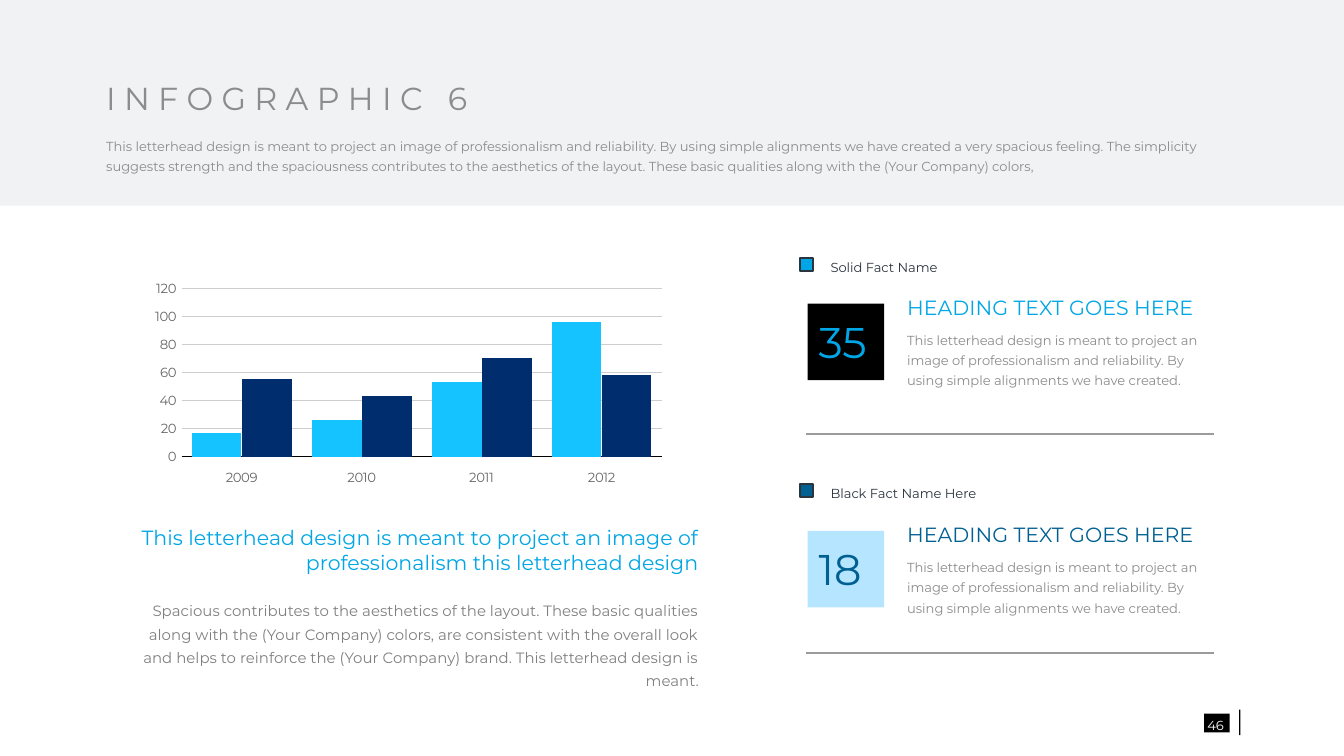
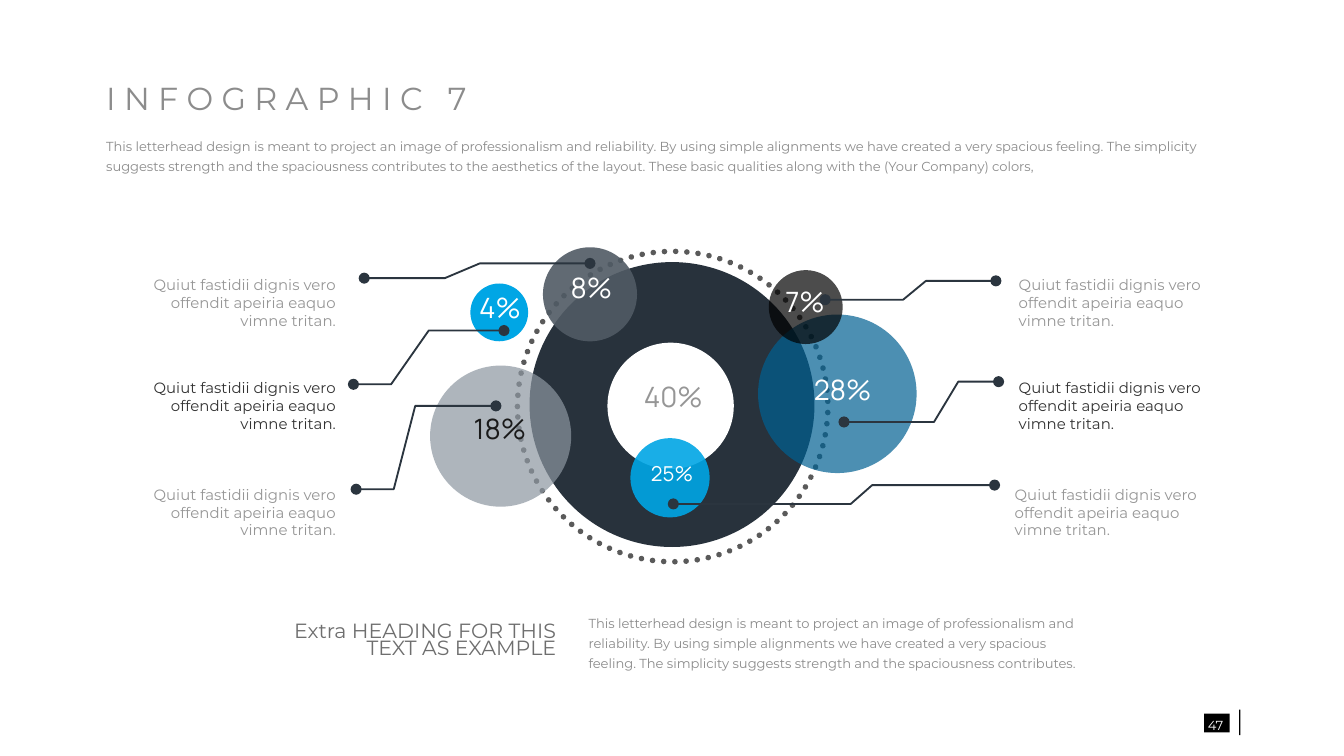
import pptx
import pptx.chart.data
import pptx.dml.color
import pptx.enum.chart
import pptx.enum.dml
import pptx.enum.shapes
import pptx.enum.text
import pptx.oxml
import pptx.oxml.ns
import pptx.util
from lxml import etree

RGB = pptx.dml.color.RGBColor
ALIGN = pptx.enum.text.PP_ALIGN
ANCHOR = pptx.enum.text.MSO_ANCHOR
SHAPE = pptx.enum.shapes.MSO_SHAPE
qn = pptx.oxml.ns.qn

PX = 9144  # 100 px to the inch
SLIDE_W = 1000

# Colours and fonts
BLACK = RGB(0x00, 0x00, 0x00)
WHITE = RGB(0xFF, 0xFF, 0xFF)
BAND = RGB(0xDA, 0xDF, 0xE3)
CYAN = RGB(0x00, 0xA6, 0xE5)
BLUE = RGB(0x00, 0x60, 0x92)
PALE_BLUE = RGB(0xB6, 0xE6, 0xFF)
BAR_CYAN = RGB(0x14, 0xC3, 0xFF)
BAR_NAVY = RGB(0x00, 0x2D, 0x6E)
INK = RGB(0x2B, 0x35, 0x3F)
DISC = RGB(0x28, 0x32, 0x3C)
SLATE = RGB(0x50, 0x5A, 0x64)
STEEL = RGB(0x8C, 0x96, 0xA0)
NEAR_BLACK = RGB(0x1A, 0x1A, 0x1A)
CHARCOAL = RGB(0x32, 0x32, 0x32)
DOT_GREY = RGB(0x5A, 0x5A, 0x5A)
AXIS_GREY = RGB(0x67, 0x67, 0x67)
HEADING_GREY = RGB(0x6E, 0x6E, 0x6E)
SUMMARY_GREY = RGB(0x80, 0x80, 0x80)
GREY = RGB(0x8C, 0x8C, 0x8C)
LIGHT_GREY = RGB(0x96, 0x96, 0x96)
RULE_GREY = RGB(0x9B, 0x9B, 0x9B)
GRID_GREY = RGB(0xCD, 0xCD, 0xCD)
MAIN_FONT, FIGURE_FONT, CHART_FONT = "Montserrat", "Manrope", "Cabin"

# Shared content
MEANT = "This letterhead design is meant to project an image of professionalism"
OPENING = MEANT + " and reliability. By using simple alignments we have created"
INTRO = (OPENING + " a very spacious feeling. The simplicity suggests strength and the "
         "spaciousness contributes to the aesthetics of the layout. These basic "
         "qualities along with the (Your Company) colors,")

# Bar chart slide
YEARS = ["2009", "2010", "2011", "2012"]
SERIES = [("Series 1", (17, 26, 53, 96), BAR_CYAN),
          ("Series 2", (55, 43, 70, 58), BAR_NAVY)]
PLOT_AREA = {"x": 0.107, "y": 0.2, "w": 0.867, "h": 0.671}
CHART_HEADING = MEANT + " this letterhead design"
CHART_SUMMARY = ("Spacious contributes to the aesthetics of the layout. These basic "
                 "qualities along with the (Your Company) colors, are consistent with "
                 "the overall look and helps to reinforce the (Your Company) brand. "
                 "This letterhead design is meant.")
FACT_HEADING = "HEADING TEXT GOES HERE"
FACT_BODY = OPENING + "."
# name, number, accent, badge colour, then tops of marker, badge and rule
FACTS = [("Solid Fact Name", "35", CYAN, BLACK, 192, 226, 323),
         ("Black Fact Name Here", "18", BLUE, PALE_BLUE, 360, 395, 486)]

# Bubble slide
RING = (385, 187, 231)
# left, top, diameter, colour, opacity, label, label box, label colour, label size
BUBBLES = [
    (394, 195, 212, DISC, 100, None, None, None, None),
    (404, 184, 70, SLATE, 90, "8%", (415, 202, 50, 27), WHITE, 15),
    (350, 211, 43, CYAN, 100, "4%", (347, 217, 50, 27), WHITE, 15),
    (320, 272, 105, STEEL, 70, "18%", (347, 307, 50, 27), NEAR_BLACK, 15),
    (452, 255, 94, WHITE, 100, "40%", (476, 283, 50, 27), LIGHT_GREY, 15),
    (564, 234, 118, BLUE, 70, "28%", (602, 278, 50, 27), WHITE, 15),
    (572, 201, 55, BLACK, 70, "7%", (574, 212, 50, 27), WHITE, 15),
    (469, 326, 59, CYAN, 90, "25%", (469, 328, 62, 51), WHITE, 11),
]
CALLOUT = "Quiut fastidii dignis vero offendit apeiria eaquo vimne tritan."
CALLOUT_ROWS = [(204, LIGHT_GREY), (281, CHARCOAL), (360, LIGHT_GREY)]
# alignment, then for each row: left, width, leader points
CALLOUT_COLUMNS = [
    (ALIGN.RIGHT, [
        (102, 148, [(271, 207), (331, 207), (357, 196), (439, 196)]),
        (102, 148, [(263, 286), (291, 286), (319, 246), (375, 246)]),
        (98, 152, [(265, 364), (293, 364), (309, 302), (369, 302)])]),
    (ALIGN.LEFT, [
        (758, 148, [(741, 209), (689, 209), (672, 223), (614, 223)]),
        (758, 148, [(743, 284), (713, 284), (695, 314), (628, 314)]),
        (755, 152, [(740, 361), (649, 361), (633, 375), (501, 375)])]),
]
EXTRA_HEADING = "Extra HEADING FOR THIS TEXT AS EXAMPLE"
EXTRA_BODY = (OPENING + " a very spacious feeling. The simplicity suggests strength "
              "and the spaciousness contributes.")


def emu(*lengths):
    return [length * PX for length in lengths]


def set_font(font, size, colour, name=MAIN_FONT):
    font.size, font.name = pptx.util.Pt(size), name
    font.color.rgb = colour


def add_text(slide, box, text, size, colour, spacing=1.0, align=ALIGN.LEFT,
             anchor=ANCHOR.MIDDLE, font=MAIN_FONT):
    frame = slide.shapes.add_textbox(*emu(*box)).text_frame
    frame.word_wrap = True
    frame.vertical_anchor = anchor
    frame.margin_left = frame.margin_right = frame.margin_top = frame.margin_bottom = 0
    paragraph = frame.paragraphs[0]
    paragraph.text = text
    paragraph.alignment = align
    paragraph.line_spacing = spacing
    set_font(paragraph.font, size, colour, font)


def add_filled(slide, kind, box, colour, opacity=100, outline=None):
    shape = slide.shapes.add_shape(kind, *emu(*box))
    shape.shadow.inherit = False
    shape.fill.solid()
    shape.fill.fore_color.rgb = colour
    if opacity < 100:
        tint = shape._element.spPr.find(qn("a:solidFill"))[0]
        etree.SubElement(tint, qn("a:alpha"), val=str(opacity * 1000))
    if outline is None:
        shape.line.fill.background()
    else:
        set_line(shape.line, outline, 1)


def set_line(line, colour, width):
    line.color.rgb = colour
    line.width = pptx.util.Pt(width)


def add_rule(slide, left, right, top):
    rule = slide.shapes.add_connector(pptx.enum.shapes.MSO_CONNECTOR.STRAIGHT,
                                      *emu(left, top, right, top))
    set_line(rule.line, RULE_GREY, 1)
    etree.SubElement(rule._element.spPr, qn("a:effectLst"))


def add_leader(slide, points):
    start, *rest = [emu(*point) for point in points]
    builder = slide.shapes.build_freeform(*start)
    builder.add_line_segments(rest, close=False)
    leader = builder.convert_to_shape()
    leader.shadow.inherit = False
    leader.fill.background()
    set_line(leader.line, INK, 1)
    outline = leader._element.spPr.find(qn("a:ln"))
    for end in ("a:headEnd", "a:tailEnd"):
        etree.SubElement(outline, qn(end), type="oval")


def add_header(slide, title):
    add_text(slide, (79, 60, 441, 33), " ".join(title), 17, GREY, 0.7)
    add_text(slide, (79, 99, 831, 31), INTRO, 7, GREY, 1.3)


def add_page_number(slide, number):
    add_filled(slide, SHAPE.RECTANGLE, (896, 531, 19, 14), BLACK)
    add_text(slide, (893, 530, 23, 16), number, 7, WHITE, 1.3, ALIGN.CENTER)
    add_filled(slide, SHAPE.RECTANGLE, (922, 528, 1, 19), BLACK)


def add_bar_chart(slide):
    data = pptx.chart.data.CategoryChartData()
    data.categories = YEARS
    for name, values, _ in SERIES:
        data.add_series(name, values)
    chart = slide.shapes.add_chart(pptx.enum.chart.XL_CHART_TYPE.COLUMN_CLUSTERED,
                                   *emu(91, 177, 412, 187), data).chart
    chart.has_title = chart.has_legend = False
    set_font(chart.font, 12.1, BLACK, CHART_FONT)

    bars = chart.plots[0]
    bars.gap_width, bars.overlap, bars.vary_by_categories = 40, 0, False
    for series, (_, _, colour) in zip(bars.series, SERIES):
        series.format.fill.solid()
        series.format.fill.fore_color.rgb = colour

    years, amounts = chart.category_axis, chart.value_axis
    for axis in (years, amounts):
        axis.major_tick_mark = axis.minor_tick_mark = pptx.enum.chart.XL_TICK_MARK.NONE
        set_font(axis.tick_labels.font, 7.1, AXIS_GREY)
    years.tick_label_position = pptx.enum.chart.XL_TICK_LABEL_POSITION.LOW
    set_line(years.format.line, BLACK, 0.36)
    amounts.minimum_scale, amounts.maximum_scale, amounts.major_unit = 0, 120, 20
    amounts.format.line.fill.background()
    set_line(amounts.major_gridlines.format.line, GRID_GREY, 0.36)

    # Fixed inner plot area
    plot_area = chart._chartSpace.find(".//" + qn("c:plotArea"))
    for old in plot_area.findall(qn("c:layout")):
        plot_area.remove(old)
    layout = etree.Element(qn("c:layout"))
    plot_area.insert(0, layout)
    manual = etree.SubElement(layout, qn("c:manualLayout"))
    settings = {"layoutTarget": "inner", "xMode": "edge", "yMode": "edge", **PLOT_AREA}
    for tag, value in settings.items():
        etree.SubElement(manual, qn("c:" + tag), val=str(value))


def add_fact(slide, name, number, accent, badge, marker_top, badge_top, rule_top):
    add_filled(slide, SHAPE.RECTANGLE, (595, marker_top, 10, 10), accent, outline=INK)
    add_text(slide, (618, marker_top - 3, 115, 16), name, 7, INK, 1.3)
    add_filled(slide, SHAPE.RECTANGLE, (601, badge_top, 57, 57), badge)
    add_text(slide, (609, badge_top + 7, 42, 42), number, 23, accent)
    add_text(slide, (675, badge_top - 12, 224, 32), FACT_HEADING, 11, accent, 0.8)
    add_text(slide, (675, badge_top + 17, 224, 47), FACT_BODY, 7, GREY, 1.3)
    add_rule(slide, 600, 903, rule_top)


def build_chart_slide(slide):
    add_filled(slide, SHAPE.RECTANGLE, (-4, -2, 1007, 155), BAND, 40)
    add_bar_chart(slide)
    add_header(slide, "INFOGRAPHIC 6")
    add_text(slide, (104, 391, 416, 47), CHART_HEADING, 11, CYAN,
             align=ALIGN.RIGHT, anchor=ANCHOR.TOP)
    add_text(slide, (104, 444, 416, 56), CHART_SUMMARY, 8, SUMMARY_GREY, 1.3,
             ALIGN.RIGHT, ANCHOR.TOP)
    for fact in FACTS:
        add_fact(slide, *fact)
    add_page_number(slide, "46")


def build_bubble_slide(slide):
    # Dotted ring behind the bubbles
    left, top, size = RING
    ring = slide.shapes.add_shape(SHAPE.OVAL, *emu(left, top, size, size))
    ring.shadow.inherit = False
    ring.fill.background()
    set_line(ring.line, DOT_GREY, 3)
    ring.line.dash_style = pptx.enum.dml.MSO_LINE.ROUND_DOT
    ring._element.spPr.find(qn("a:ln")).set("cap", "rnd")

    for left, top, size, colour, opacity, label, box, ink, points in BUBBLES:
        add_filled(slide, SHAPE.OVAL, (left, top, size, size), colour, opacity)
        if label:
            add_text(slide, box, label, points, ink, 0.9, ALIGN.CENTER, font=FIGURE_FONT)

    for align, entries in CALLOUT_COLUMNS:
        for (top, colour), (left, width, leader) in zip(CALLOUT_ROWS, entries):
            add_text(slide, (left, top, width, 42), CALLOUT, 8, colour, align=align)
            add_leader(slide, leader)

    add_header(slide, "INFOGRAPHIC 7")
    add_text(slide, (206, 459, 208, 37), EXTRA_HEADING, 11, HEADING_GREY, 0.7, ALIGN.RIGHT)
    add_text(slide, (438, 454, 376, 46), EXTRA_BODY, 7, GREY, 1.3)
    add_page_number(slide, "47")


def main():
    deck = pptx.Presentation()
    deck.slide_width = SLIDE_W * PX
    deck.slide_height = deck.slide_width * 9 // 16
    for build in (build_chart_slide, build_bubble_slide):
        build(deck.slides.add_slide(deck.slide_layouts[6]))
    deck.save("out.pptx")


if __name__ == "__main__":
    main()
